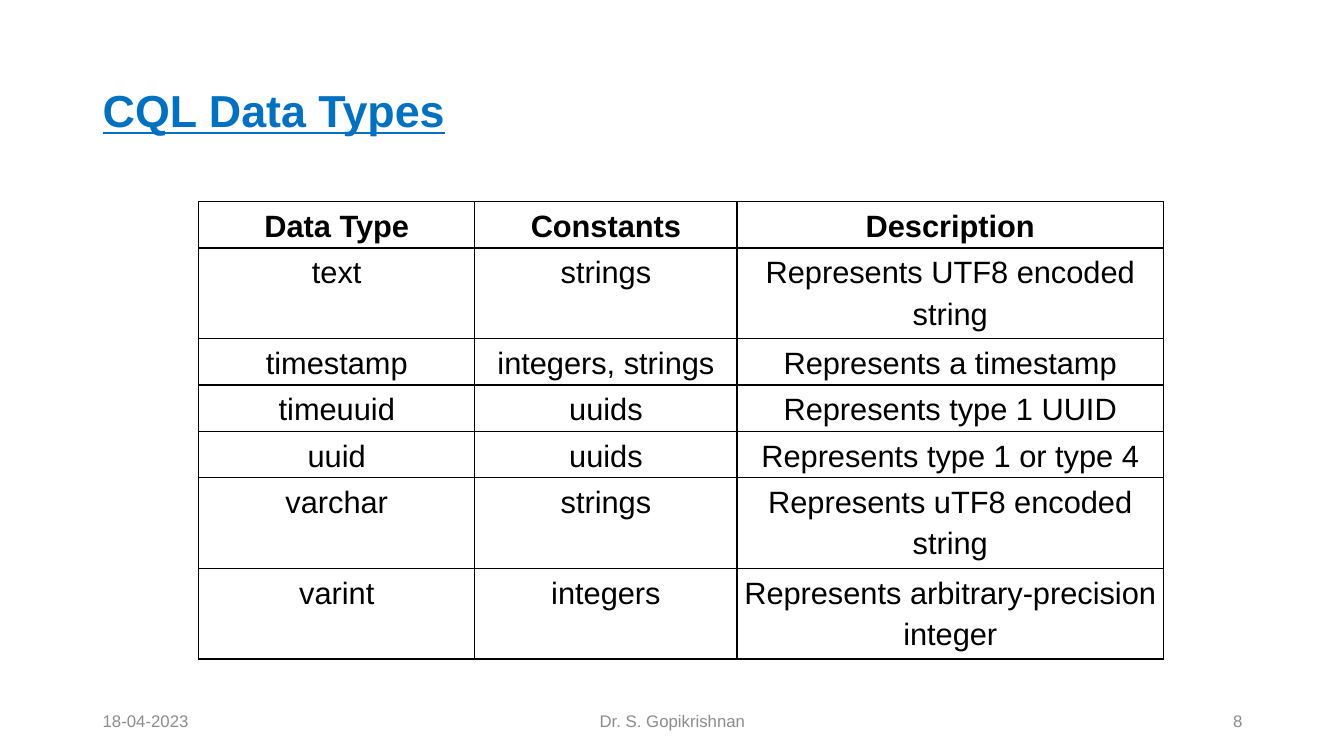
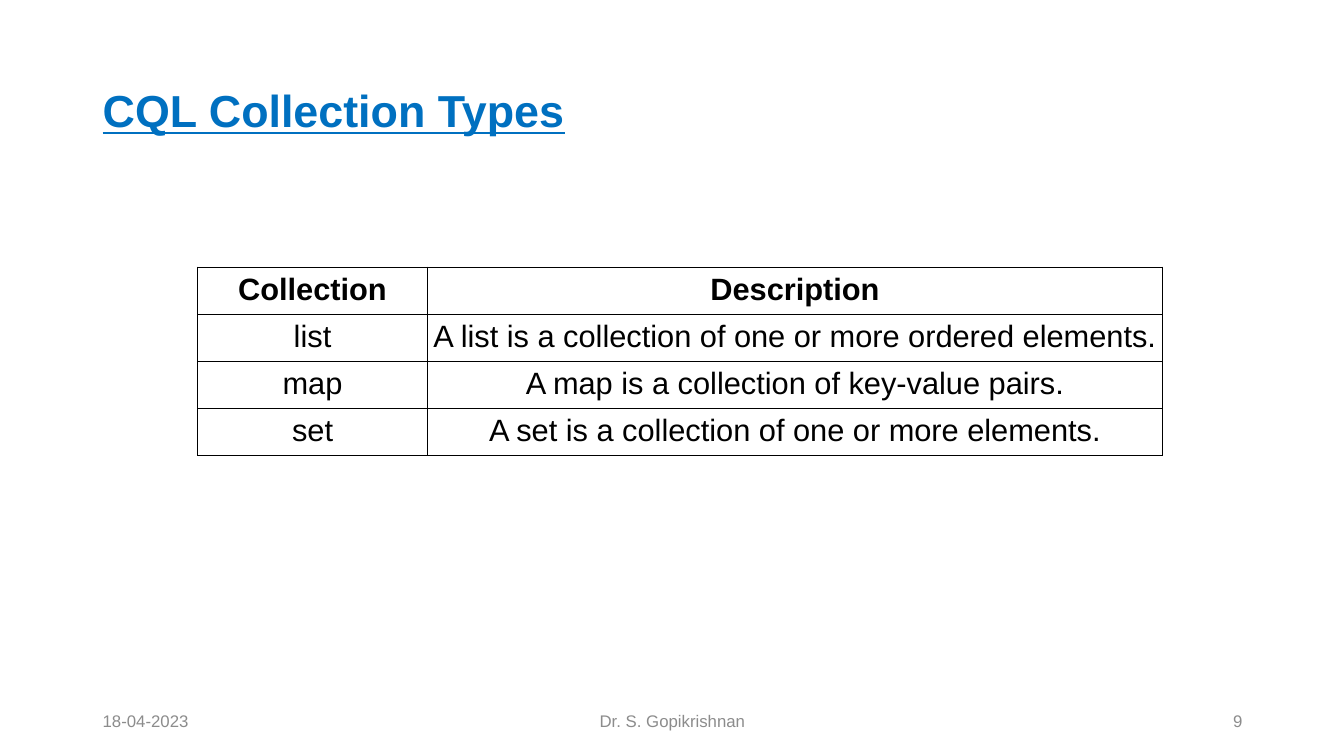
"""Build two slides that list the CQL data types and collection types."""
import pptx
import pptx.dml.color
import pptx.enum.text
import pptx.oxml.ns
import pptx.util
from lxml import etree

Inches = pptx.util.Inches
Pt = pptx.util.Pt
ALIGN = pptx.enum.text.PP_ALIGN
ANCHOR = pptx.enum.text.MSO_ANCHOR
qn = pptx.oxml.ns.qn

FONT = "Arial"
COLORS = {"title": "0070C0", "footer": "8C8C8C", "text": "000000", "border": "000000"}
DATE = "18-04-2023"
AUTHOR = "Dr. S. Gopikrishnan"

SLIDES = [
    {
        "title": "CQL Data Types",
        "number": 8,
        "left": 1.97,
        "top": 2,
        "columns": [2.74, 2.6, 4.23],
        "heights": [0.44, 0.85, 0.44, 0.44, 0.44, 0.85, 0.85],
        "margin": 0.01,
        "line_spacing": 1.2,
        "rows": [
            ["Data Type", "Constants", "Description"],
            ["text", "strings", "Represents UTF8 encoded string"],
            ["timestamp", "integers, strings", "Represents a timestamp"],
            ["timeuuid", "uuids", "Represents type 1 UUID"],
            ["uuid", "uuids", "Represents type 1 or type 4"],
            ["varchar", "strings", "Represents uTF8 encoded string"],
            ["varint", "integers", "Represents arbitrary-precision integer"],
        ],
    },
    {
        "title": "CQL Collection Types",
        "number": 9,
        "left": 1.96,
        "top": 2.65,
        "columns": [2.28, 7.29],
        "heights": [0.45] * 4,
        "margin": 0.05,
        "line_spacing": 1,
        "rows": [
            ["Collection", "Description"],
            ["list", "A list is a collection of one or more ordered elements."],
            ["map", "A map is a collection of key-value pairs."],
            ["set", "A set is a collection of one or more elements."],
        ],
    },
]


def write(frame, text, size, color, align, bold=False):
    frame.text = text
    frame.word_wrap = True
    paragraph = frame.paragraphs[0]
    paragraph.alignment = align
    font = paragraph.runs[0].font
    font.name = FONT
    font.size = Pt(size)
    font.bold = bold
    font.color.rgb = pptx.dml.color.RGBColor.from_string(COLORS[color])
    return paragraph


def add_borders(cell):
    properties = cell._tc.get_or_add_tcPr()
    for side in ("lnL", "lnR", "lnT", "lnB"):
        line = etree.SubElement(properties, qn(f"a:{side}"), w=str(Pt(1)))
        fill = etree.SubElement(line, qn("a:solidFill"))
        etree.SubElement(fill, qn("a:srgbClr"), val=COLORS["border"])


deck = pptx.Presentation()
deck.slide_width = Inches(13.33)
deck.slide_height = Inches(7.5)

for content in SLIDES:
    slide = deck.slides.add_slide(deck.slide_layouts[6])

    title = slide.shapes.add_textbox(Inches(0.92), Inches(0.4), Inches(11.5), Inches(1.45))
    title.text_frame.vertical_anchor = ANCHOR.MIDDLE
    heading = write(title.text_frame, content["title"], 32, "title", ALIGN.LEFT, bold=True)
    heading.line_spacing = 0.9
    heading.runs[0].font.underline = True

    for text, left, width, align in (
        (DATE, 0.92, 3, ALIGN.LEFT),
        (AUTHOR, 4.42, 4.5, ALIGN.CENTER),
        (str(content["number"]), 9.42, 3, ALIGN.RIGHT),
    ):
        footer = slide.shapes.add_textbox(Inches(left), Inches(6.95), Inches(width), Inches(0.4))
        footer.text_frame.vertical_anchor = ANCHOR.MIDDLE
        write(footer.text_frame, text, 12, "footer", align)

    rows, columns, heights = content["rows"], content["columns"], content["heights"]
    types = slide.shapes.add_table(
        len(rows), len(columns),
        Inches(content["left"]), Inches(content["top"]),
        Inches(sum(columns)), Inches(sum(heights)),
    ).table
    types.first_row = False
    types.horz_banding = False
    for column, width in zip(types.columns, columns):
        column.width = Inches(width)
    for row, height in zip(types.rows, heights):
        row.height = Inches(height)

    margin = Inches(content["margin"])
    for r, entries in enumerate(rows):
        for c, entry in enumerate(entries):
            cell = types.cell(r, c)
            cell.margin_left = cell.margin_right = margin
            cell.margin_top = cell.margin_bottom = margin
            add_borders(cell)
            cell.fill.background()
            line = write(cell.text_frame, entry, 22, "text", ALIGN.CENTER, bold=r == 0)
            line.line_spacing = content["line_spacing"]

deck.save("out.pptx")
